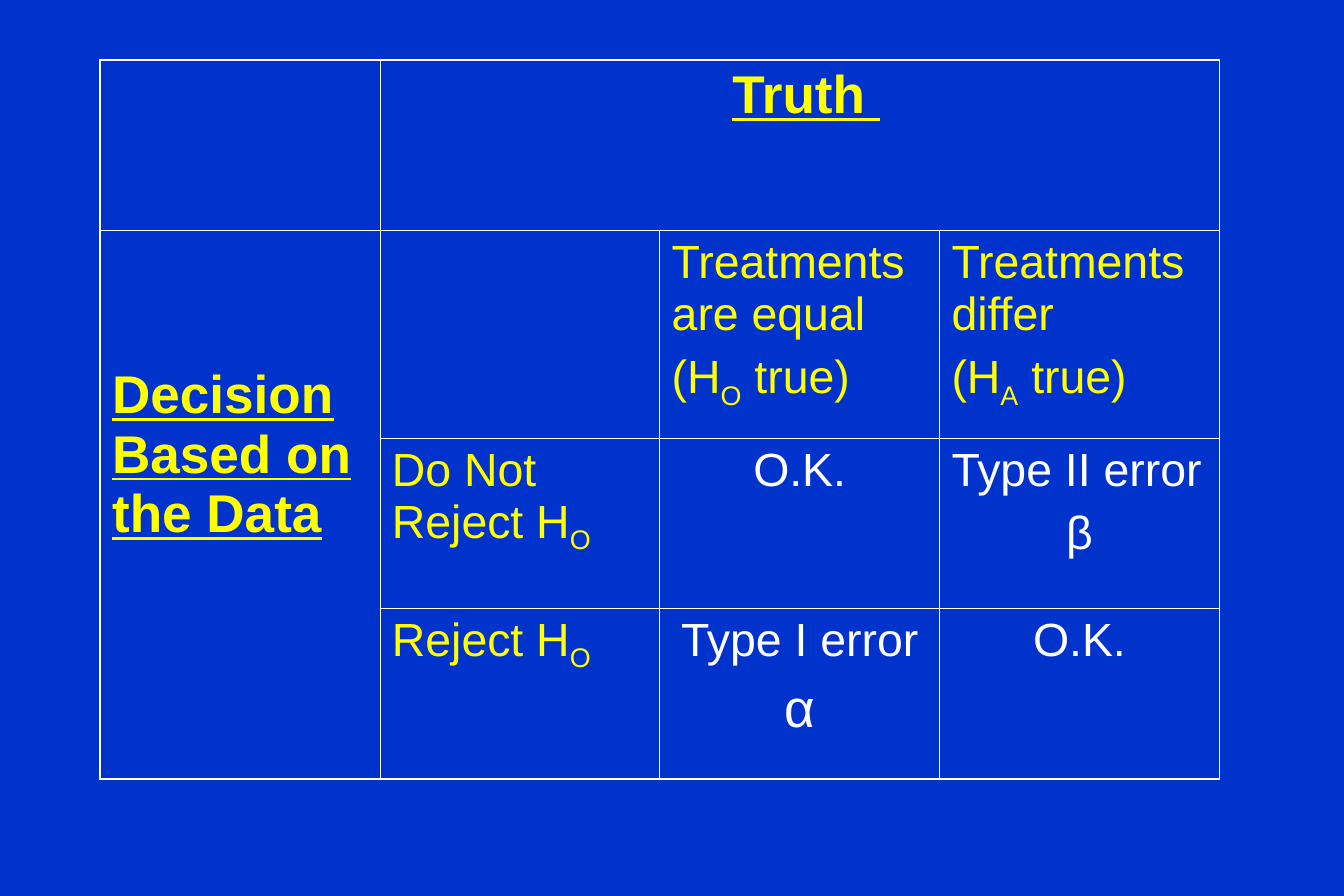
import pptx
import pptx.dml.color
import pptx.enum.text
import pptx.oxml
import pptx.oxml.ns
import pptx.util
from pptx.util import Cm

BLUE, WHITE, YELLOW = "0033CC", "FFFFFF", "FFFF00"
OUTER, INNER = 1.08, 0.45
LEFT, CENTER = pptx.enum.text.PP_ALIGN.LEFT, pptx.enum.text.PP_ALIGN.CENTER
ROW_HEIGHTS = [Cm(3.63), Cm(4.42), Cm(3.61), Cm(3.63)]
COLUMNS = 4
MERGES = [(0, 1, 0, 3), (1, 0, 3, 0)]

STYLES = {
    "heading": {"size": 32, "color": YELLOW, "bold": True, "underline": True},
    "label": {"size": 28, "color": YELLOW},
    "label_sub": {"size": 28, "color": YELLOW, "baseline": "-25000"},
    "result": {"size": 28, "color": WHITE},
    "symbol": {"size": 32, "color": WHITE},
}

CELLS = {
    (0, 1): [(CENTER, [(" ", "result"), ("Truth ", "heading")])],
    (1, 0): [(LEFT, [("Decision Based on the Data", "heading")])],
    (1, 2): [(LEFT, [("Treatments are equal", "label")]),
             (LEFT, [("(H", "label"), ("O", "label_sub"), (" true)", "label")])],
    (1, 3): [(LEFT, [("Treatments differ", "label")]),
             (LEFT, [("(H", "label"), ("A", "label_sub"), (" true)", "label")])],
    (2, 1): [(LEFT, [("Do Not Reject H", "label"), ("O", "label_sub")])],
    (2, 2): [(CENTER, [("O.K.", "result")])],
    (2, 3): [(LEFT, [("Type II error", "result")]),
             (CENTER, [("β", "result")])],
    (3, 1): [(LEFT, [("Reject H", "label"), ("O", "label_sub")])],
    (3, 2): [(CENTER, [("Type I error", "result")]),
             (CENTER, [("α", "symbol")])],
    (3, 3): [(CENTER, [("O.K.", "result")])],
}


def rgb(value):
    """Return the colour for a hex string."""
    return pptx.dml.color.RGBColor.from_string(value)


def add_run(p, text, style):
    """Add a run of text in one of the named styles."""
    r = p.add_run()
    r.text = text
    fmt = dict(STYLES[style])
    r.font.color.rgb = rgb(fmt.pop("color"))
    baseline = fmt.pop("baseline", None)
    if baseline:
        r.font._element.set("baseline", baseline)
    fmt.update(name="Arial", size=pptx.util.Pt(fmt["size"]))
    for name, value in fmt.items():
        setattr(r.font, name, value)


def fill_cell(cell, paragraphs):
    """Write aligned paragraphs of styled runs into a cell."""
    tf = cell.text_frame
    for i, (align, runs) in enumerate(paragraphs):
        p = tf.paragraphs[0] if i == 0 else tf.add_paragraph()
        p.alignment = align
        if i:
            p.space_before = pptx.util.Pt(8 if runs[0][1] == "symbol" else 7)
        for text, style in runs:
            add_run(p, text, style)


def set_borders(cell, row, col):
    """Draw outer edges of the grid thicker than the inner ones."""
    height = cell.span_height if cell.is_merge_origin else 1
    width = cell.span_width if cell.is_merge_origin else 1
    outer = {"L": col == 0, "R": col + width == COLUMNS,
             "T": row == 0, "B": row + height == len(ROW_HEIGHTS)}
    tcPr = cell._tc.get_or_add_tcPr()
    for i, (side, is_outer) in enumerate(outer.items()):
        weight = pptx.util.Pt(OUTER if is_outer else INNER)
        tcPr.insert(i, pptx.oxml.parse_xml(
            f'<a:ln{side} {pptx.oxml.ns.nsdecls("a")} w="{weight}">'
            f'<a:solidFill><a:srgbClr val="{WHITE}"/></a:solidFill></a:ln{side}>'))


def add_error_table(slide, left, top, width):
    """Place the decision table in the given box."""
    height = sum(ROW_HEIGHTS)
    table = slide.shapes.add_table(
        len(ROW_HEIGHTS), COLUMNS, left, top, width, height).table
    table.first_row = table.horz_banding = False
    for row, row_height in zip(table.rows, ROW_HEIGHTS):
        row.height = row_height
    for r1, c1, r2, c2 in MERGES:
        table.cell(r1, c1).merge(table.cell(r2, c2))
    for row in range(len(ROW_HEIGHTS)):
        for col in range(COLUMNS):
            cell = table.cell(row, col)
            cell.fill.background()
            set_borders(cell, row, col)
            fill_cell(cell, CELLS.get((row, col), []))
    table.cell(1, 0).margin_top = Cm(2.87)


def main():
    """Build the slide and save it."""
    prs = pptx.Presentation()
    prs.slide_width, prs.slide_height = Cm(28.58), Cm(19.05)
    slide = prs.slides.add_slide(prs.slide_layouts[6])
    slide.background.fill.solid()
    slide.background.fill.fore_color.rgb = rgb(BLUE)
    add_error_table(slide, Cm(2.13), Cm(1.27), Cm(23.8))
    prs.save("out.pptx")


if __name__ == "__main__":
    main()
